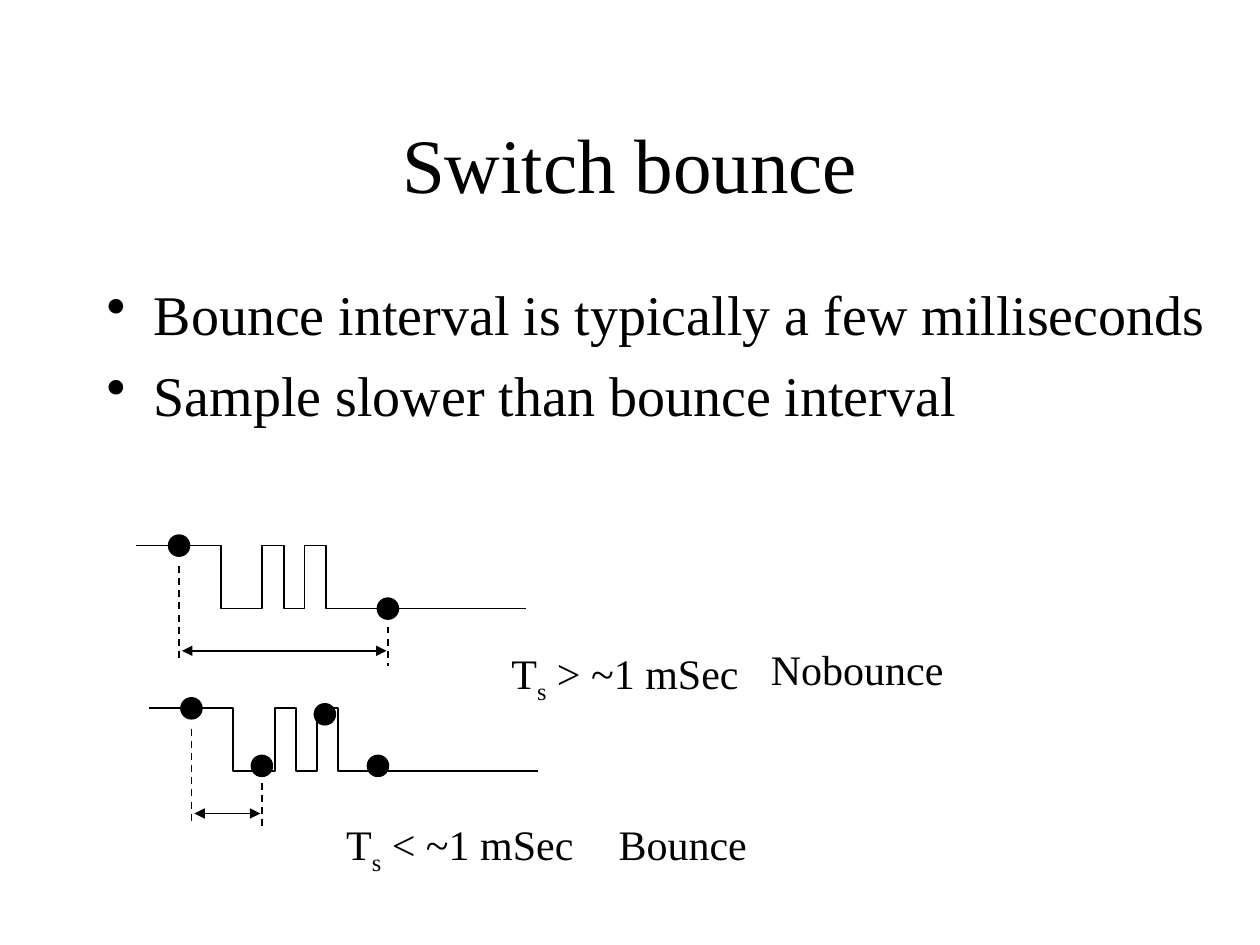
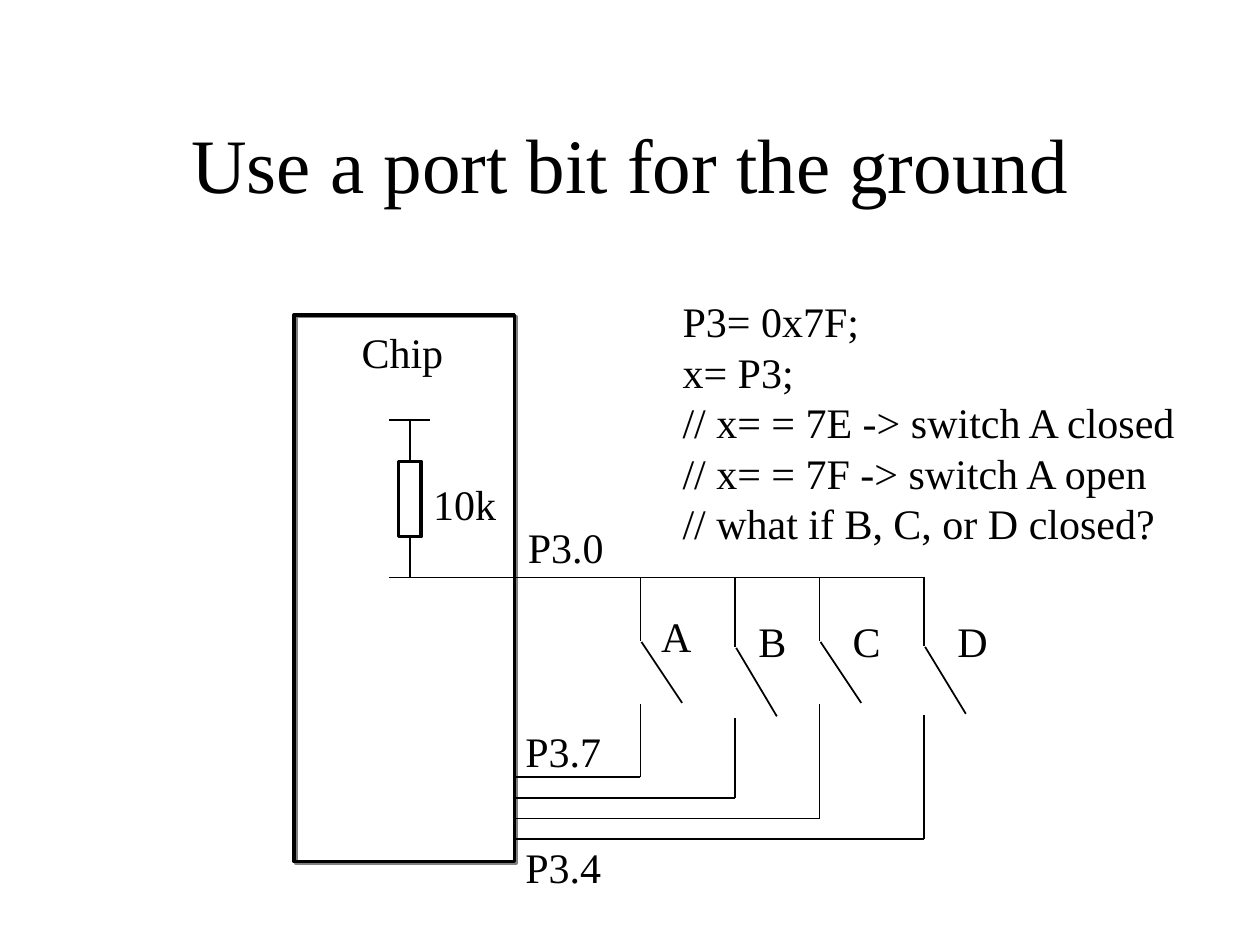
from lxml import etree
from pptx import Presentation
from pptx.dml.color import RGBColor
from pptx.enum.dml import MSO_LINE_DASH_STYLE as Dash
from pptx.enum.shapes import MSO_CONNECTOR as Connector, MSO_SHAPE as Shape
from pptx.enum.text import MSO_ANCHOR as Anchor, MSO_AUTO_SIZE as AutoSize, PP_ALIGN as Align
from pptx.oxml.ns import qn
from pptx.util import Cm, Pt

INK = RGBColor(0x00, 0x00, 0x00)
SHADOW = RGBColor(0x80, 0x80, 0x80)
FONT = "Times New Roman"
TITLE_SIZE, BODY_SIZE, LABEL_SIZE = 44, 32, 24
TOP, BOTTOM = 0, 2  # connection sites of a rectangle

# Bouncing signal: x of each edge, measured from its left end
EDGES = (1.7, 2.54, 2.97, 3.39, 3.82)
SIGNAL_WIDTH = 7.85
SIGNAL_HEIGHT = 1.27


def add_run(paragraph, text, size, subscript=False):
    run = paragraph.add_run()
    run.text = text
    run.font.name = FONT
    run.font.size = Pt(size)
    run.font.color.rgb = INK
    if subscript:
        run._r.get_or_add_rPr().set("baseline", "-25000")


def add_text_frame(slide, left, top, width, height, wrap=True):
    box = slide.shapes.add_textbox(Cm(left), Cm(top), Cm(width), Cm(height))
    box.text_frame.word_wrap = wrap
    return box.text_frame


def add_title(slide, text):
    frame = add_text_frame(slide, 1.9, 1.7, 21.6, 3.18)
    frame.vertical_anchor = Anchor.MIDDLE
    frame.paragraphs[0].alignment = Align.CENTER
    add_run(frame.paragraphs[0], text, TITLE_SIZE)


def paragraphs_for(frame, lines):
    """Yield each line with the paragraph that will hold it."""
    for index, line in enumerate(lines):
        yield (frame.add_paragraph() if index else frame.paragraphs[0]), line


def add_bullets(slide, lines):
    frame = add_text_frame(slide, 1.9, 5.51, 23.5, 4.65)
    for paragraph, line in paragraphs_for(frame, lines):
        properties = paragraph._p.get_or_add_pPr()
        properties.set("marL", str(Cm(0.95)))
        properties.set("indent", str(-Cm(0.95)))
        etree.SubElement(properties, qn("a:buChar")).set("char", "•")
        paragraph.space_before = Pt(8 if line != lines[0] else 0)
        add_run(paragraph, line, BODY_SIZE)


def add_label(slide, left, top, width, *lines, height=1.27):
    frame = add_text_frame(slide, left, top, width, height, wrap=False)
    frame.auto_size = AutoSize.SHAPE_TO_FIT_TEXT
    for paragraph, line in paragraphs_for(frame, lines):
        add_run(paragraph, line, LABEL_SIZE)


def add_period_label(slide, left, top, condition):
    """Write the sampling period Ts followed by its condition."""
    frame = add_text_frame(slide, left, top, 5.1, 1.4, wrap=False)
    paragraph = frame.paragraphs[0]
    add_run(paragraph, "T", LABEL_SIZE)
    add_run(paragraph, "s", LABEL_SIZE, subscript=True)
    add_run(paragraph, condition, LABEL_SIZE)


def add_wire(slide, x1, y1, x2, y2, dashed=False, arrows=False):
    wire = slide.shapes.add_connector(Connector.STRAIGHT, Cm(x1), Cm(y1), Cm(x2), Cm(y2))
    wire.line.color.rgb = INK
    wire.line.width = Pt(1)
    if dashed:
        wire.line.dash_style = Dash.DASH
    if arrows:
        for end in ("a:headEnd", "a:tailEnd"):
            etree.SubElement(wire.line._get_or_add_ln(), qn(end)).set("type", "triangle")
    etree.SubElement(wire._element.spPr, qn("a:effectLst"))
    return wire


def add_outline(slide, left, top, width, height):
    outline = slide.shapes.add_shape(Shape.RECTANGLE, Cm(left), Cm(top), Cm(width), Cm(height))
    outline.shadow.inherit = False
    outline.fill.background()
    outline.line.color.rgb = INK
    outline.line.width = Pt(2)
    return outline


def add_drop_shadow(shape):
    effects = shape._element.spPr.find(qn("a:effectLst"))
    shadow = etree.SubElement(effects, qn("a:outerShdw"))
    shadow.set("dist", str(Pt(1.4)))
    shadow.set("dir", "2700000")
    etree.SubElement(shadow, qn("a:srgbClr")).set("val", str(SHADOW))


def add_sample_dot(slide, x, y, diameter=0.42):
    dot = slide.shapes.add_shape(Shape.OVAL, Cm(x - diameter / 2), Cm(y - diameter / 2),
                                 Cm(diameter), Cm(diameter))
    dot.shadow.inherit = False
    dot.fill.solid()
    dot.fill.fore_color.rgb = INK
    dot.line.color.rgb = INK
    dot.line.width = Pt(1)


def add_bouncing_signal(slide, left, top):
    levels = (top, top + SIGNAL_HEIGHT)
    corners = []
    for index, edge in enumerate(EDGES):
        before, after = levels[index % 2], levels[(index + 1) % 2]
        corners += [(left + edge, before), (left + edge, after)]
    corners.append((left + SIGNAL_WIDTH, levels[1]))
    builder = slide.shapes.build_freeform(Cm(left), Cm(top))
    builder.add_line_segments([(Cm(x), Cm(y)) for x, y in corners], close=False)
    signal = builder.convert_to_shape()
    signal.shadow.inherit = False
    signal.fill.background()
    signal.line.color.rgb = INK
    signal.line.width = Pt(1)


def add_sampled_signal(slide, left, top, samples, guide_gap):
    """Draw a signal, its sample dots, and the interval between the first two.

    Samples are measured from the signal's start; guide_gap is the distance
    from there down to the second guide.
    """
    add_bouncing_signal(slide, left, top)
    for x, y in samples:
        add_sample_dot(slide, left + x, top + y)
    first, second = left + samples[0][0], left + samples[1][0]
    add_wire(slide, first, top + 0.41, first, top + 2.31, dashed=True)
    add_wire(slide, second, top + guide_gap, second, top + 2.43, dashed=True)
    add_wire(slide, first + 0.06, top + 2.12, second - 0.03, top + 2.12, arrows=True)


def add_pull_up(slide, x, supply_y, bus_y):
    resistor = add_outline(slide, x - 0.23, 9.3, 0.46, 1.52)
    add_wire(slide, x - 0.41, supply_y, x + 0.41, supply_y)
    add_wire(slide, x, supply_y, x, 9.3).end_connect(resistor, TOP)
    add_wire(slide, x, 10.82, x, bus_y).begin_connect(resistor, BOTTOM)
    add_label(slide, 8.48, 9.53, 1.78, "10k")


def add_switch(slide, x, bus_y, pivot_y, contact_y, return_y, port_x):
    add_wire(slide, x, bus_y, x, pivot_y)
    add_wire(slide, x + 0.02, pivot_y + 0.02, x + 0.84, contact_y - 0.03)
    add_wire(slide, x, contact_y, x, return_y)
    add_wire(slide, x, return_y, port_x, return_y)


def build_bounce_slide(slide):
    add_title(slide, "Switch bounce")
    add_bullets(slide, ("Bounce interval is typically a few milliseconds",
                        "Sample slower than bounce interval"))
    add_sampled_signal(slide, 2.75, 11, [(0.86, 0), (5.07, SIGNAL_HEIGHT)], 1.63)
    add_period_label(slide, 10.06, 12.93, " > ~1 mSec")
    add_label(slide, 15.29, 12.85, 3.99, "Nobounce")
    add_sampled_signal(slide, 3, 14.28,
                       [(0.86, 0), (2.28, 1.16), (3.55, 0.12), (4.62, 1.16)], 1.5)
    add_period_label(slide, 6.73, 16.38, " < ~1 mSec")
    add_label(slide, 12.22, 16.38, 3.1, "Bounce")


def build_port_slide(slide):
    bus_y, port_x = 11.64, 10.37
    add_title(slide, "Use a port bit for the ground")
    add_drop_shadow(add_outline(slide, 5.93, 6.35, port_x - 5.93, 11.02))
    add_label(slide, 7.04, 6.45, 2.18, "Chip")
    add_wire(slide, 7.85, bus_y, 18.63, bus_y)
    add_pull_up(slide, 8.26, 8.47, bus_y)

    # name, x, pivot, contact, label left, label top
    switches = (
        ("A", 12.91, 12.92, 14.2, 13.08, 12.19),
        ("B", 14.82, 13.04, 14.47, 15.04, 12.29),
        ("C", 16.52, 12.92, 14.2, 16.94, 12.29),
        ("D", 18.63, 13.02, 14.42, 19.05, 12.29),
    )
    for index, (name, x, pivot_y, contact_y, label_x, label_y) in enumerate(switches):
        return_y = 15.66 + 0.42 * index
        add_switch(slide, x, bus_y, pivot_y, contact_y, return_y, port_x)
        add_label(slide, label_x, label_y, 1.1, name)

    add_label(slide, 10.39, 10.39, 2.03, "P3.0")
    add_label(slide, 10.34, 14.5, 2.03, "P3.7")
    add_label(slide, 10.34, 16.84, 2.03, "P3.4")
    add_label(slide, 13.51, 5.84, 10.52,
              "P3= 0x7F;",
              "x= P3;",
              "// x= = 7E -> switch A closed",
              "// x= = 7F -> switch A open",
              "// what if B, C, or D closed?",
              height=5.33)


def main():
    deck = Presentation()
    deck.slide_width, deck.slide_height = Cm(25.4), Cm(19.05)
    blank = deck.slide_layouts[6]
    for build in (build_bounce_slide, build_port_slide):
        build(deck.slides.add_slide(blank))
    deck.save("out.pptx")


if __name__ == "__main__":
    main()
